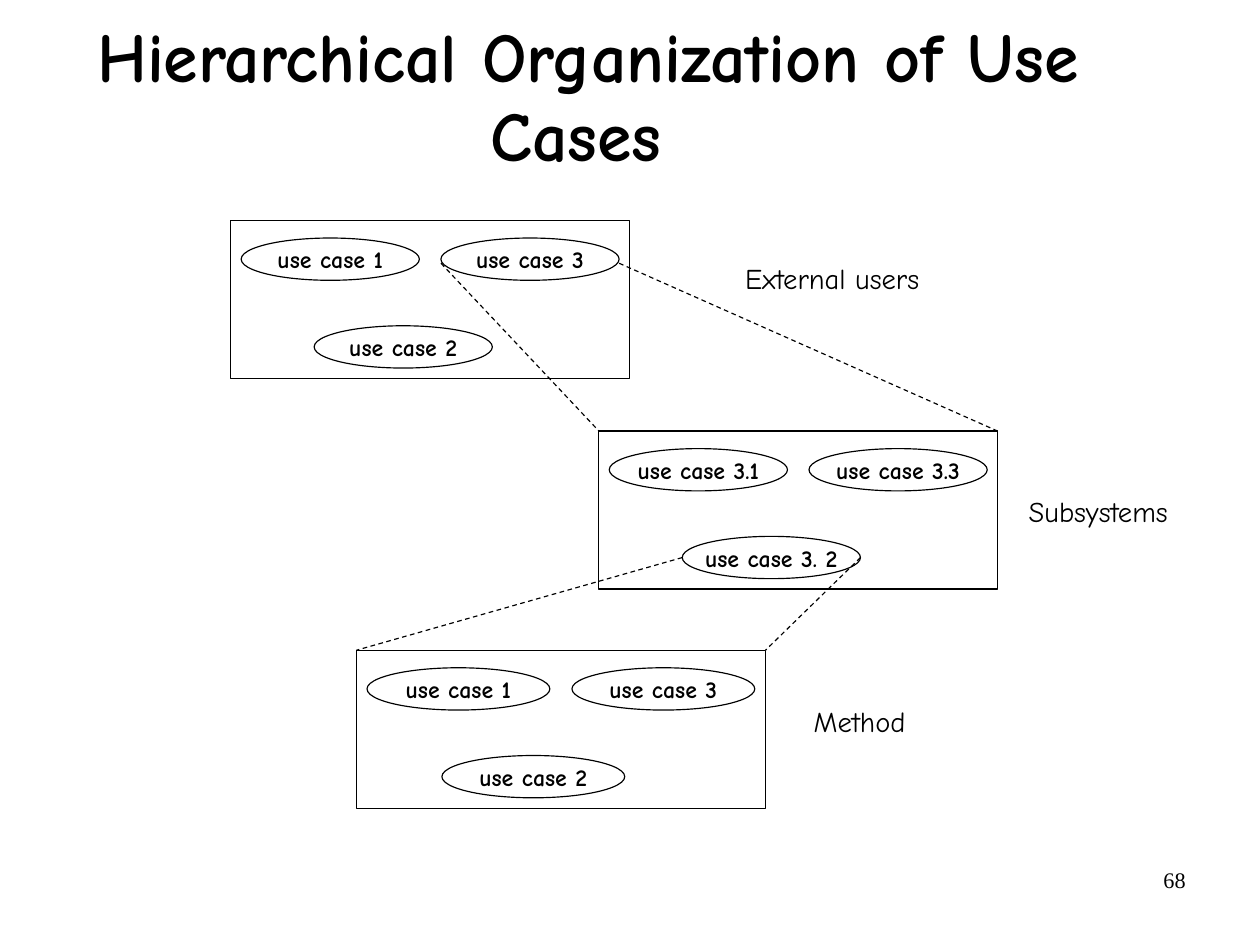
"""Build a slide on the hierarchical organization of use cases."""
from dataclasses import dataclass

from lxml import etree
from pptx import Presentation
from pptx.dml.color import RGBColor
from pptx.enum.dml import MSO_LINE
from pptx.enum.shapes import MSO_CONNECTOR, MSO_SHAPE
from pptx.enum.text import MSO_ANCHOR, MSO_AUTO_SIZE, PP_ALIGN
from pptx.oxml.ns import qn
from pptx.util import Cm, Pt

RECTANGLE, ELLIPSE = MSO_SHAPE.RECTANGLE, MSO_SHAPE.OVAL
STRAIGHT, DASH = MSO_CONNECTOR.STRAIGHT, MSO_LINE.DASH
LEFT, CENTER, RIGHT = PP_ALIGN.LEFT, PP_ALIGN.CENTER, PP_ALIGN.RIGHT
TOP, MIDDLE = MSO_ANCHOR.TOP, MSO_ANCHOR.MIDDLE
NO_AUTOFIT = MSO_AUTO_SIZE.NONE


@dataclass(frozen=True)
class Theme:
    ink: RGBColor = RGBColor(0, 0, 0)
    paper: RGBColor = RGBColor(255, 255, 255)
    hand_font: str = "Comic Neue"
    number_font: str = "Times New Roman"
    title_size: float = 44
    label_size: float = 18
    case_size: float = 15
    number_size: float = 14
    line_width: float = 0.75


def set_values(target, values):
    for name, value in values.items():
        setattr(target, name, value)


class UseCaseSlide:
    CASE_HEIGHT = 0.94
    CASE_WIDTH_SHARE = 0.447
    CASE_PLACES = ((0.026, 0.39), (0.209, 2.34), (0.527, 0.39))
    LEVEL_HEIGHT = 3.51

    def __init__(self, presentation, theme):
        self.theme = theme
        self.slide = presentation.slides.add_slide(presentation.slide_layouts[5])
        background = self.slide.background.fill
        background.solid()
        background.fore_color.rgb = theme.paper

    def put_text(self, shape, text, size, font_name=None, bold=False, align=LEFT,
                 anchor=TOP, wrap=False, margins=(0, 0), line_spacing=None):
        side, edge = (Cm(margin) for margin in margins)
        frame = shape.text_frame
        set_values(frame, {
            "text": text, "auto_size": NO_AUTOFIT, "word_wrap": wrap,
            "vertical_anchor": anchor, "margin_left": side, "margin_right": side,
            "margin_top": edge, "margin_bottom": edge})
        paragraph = frame.paragraphs[0]
        set_values(paragraph, {"alignment": align, "line_spacing": line_spacing})
        font = paragraph.runs[0].font
        set_values(font, {"name": font_name or self.theme.hand_font,
                          "size": Pt(size), "bold": bold})
        font.color.rgb = self.theme.ink

    def draw_line(self, line):
        line.color.rgb = self.theme.ink
        line.width = Pt(self.theme.line_width)

    def title(self, text, left, top, width, height):
        shape = self.slide.shapes.title
        set_values(shape, {"left": Cm(left), "top": Cm(top),
                           "width": Cm(width), "height": Cm(height)})
        self.put_text(shape, text, self.theme.title_size, bold=True, align=CENTER,
                      anchor=MIDDLE, wrap=True, margins=(0.05, 0.15),
                      line_spacing=0.94)

    def text_box(self, text, box, size, **options):
        shape = self.slide.shapes.add_textbox(*map(Cm, box))
        self.put_text(shape, text, size, **options)

    def outline(self, group, kind, *box):
        shape = group.shapes.add_shape(kind, *map(Cm, box))
        shape.shadow.inherit = False
        shape.fill.background()
        self.draw_line(shape.line)
        return shape

    def level(self, left, top, width, cases):
        """Draw a framed level and return its frame and its use cases."""
        group = self.slide.shapes.add_group_shape()
        frame = self.outline(group, RECTANGLE, left, top, width, self.LEVEL_HEIGHT)
        ellipses = []
        for text, (share, drop) in zip(cases, self.CASE_PLACES):
            ellipse = self.outline(group, ELLIPSE, left + share * width, top + drop,
                                   self.CASE_WIDTH_SHARE * width, self.CASE_HEIGHT)
            self.put_text(ellipse, text, self.theme.case_size, bold=True,
                          align=CENTER, anchor=MIDDLE)
            ellipses.append(ellipse)
        return frame, ellipses

    def refine(self, case, frame, drop=0):
        """Join both sides of a use case to the top corners of a frame."""
        start_y = case.top + case.height // 2 + Cm(drop)
        for share in (0, 1):
            connector = self.slide.shapes.add_connector(
                STRAIGHT, case.left + share * case.width, start_y,
                frame.left + share * frame.width, frame.top)
            self.draw_line(connector.line)
            connector.line.dash_style = DASH
            etree.SubElement(connector._element.spPr, qn("a:effectLst"))


def main():
    theme = Theme()
    presentation = Presentation()
    set_values(presentation, {"slide_width": Cm(28), "slide_height": Cm(21)})
    slide = UseCaseSlide(presentation, theme)

    slide.title("Hierarchical Organization of Use Cases ", 1.17, 0.3, 23.8, 3.78)

    _, users_cases = slide.level(
        5.13, 4.9, 8.86, ("use case 1", "use case 2", "use case 3"))
    subsystems, subsystem_cases = slide.level(
        13.31, 9.58, 8.86, ("use case 3.1", "use case 3. 2", "use case 3.3"))
    method, _ = slide.level(
        7.92, 14.45, 9.09, ("use case 1", "use case 2", "use case 3"))

    slide.refine(users_cases[2], subsystems, drop=0.09)
    slide.refine(subsystem_cases[1], method)

    for text, left, top, width in (("External users", 16.56, 5.79, 3.89),
                                   ("Subsystems", 22.86, 10.97, 3.12),
                                   ("Method", 18.08, 15.65, 2.06)):
        slide.text_box(text, (left, top, width, 0.76), theme.label_size)
    slide.text_box("68", (20.07, 19.13, 6.53, 1.45), theme.number_size,
                   font_name=theme.number_font, align=RIGHT, wrap=True,
                   margins=(0.25, 0.13))

    presentation.save("out.pptx")


if __name__ == "__main__":
    main()
